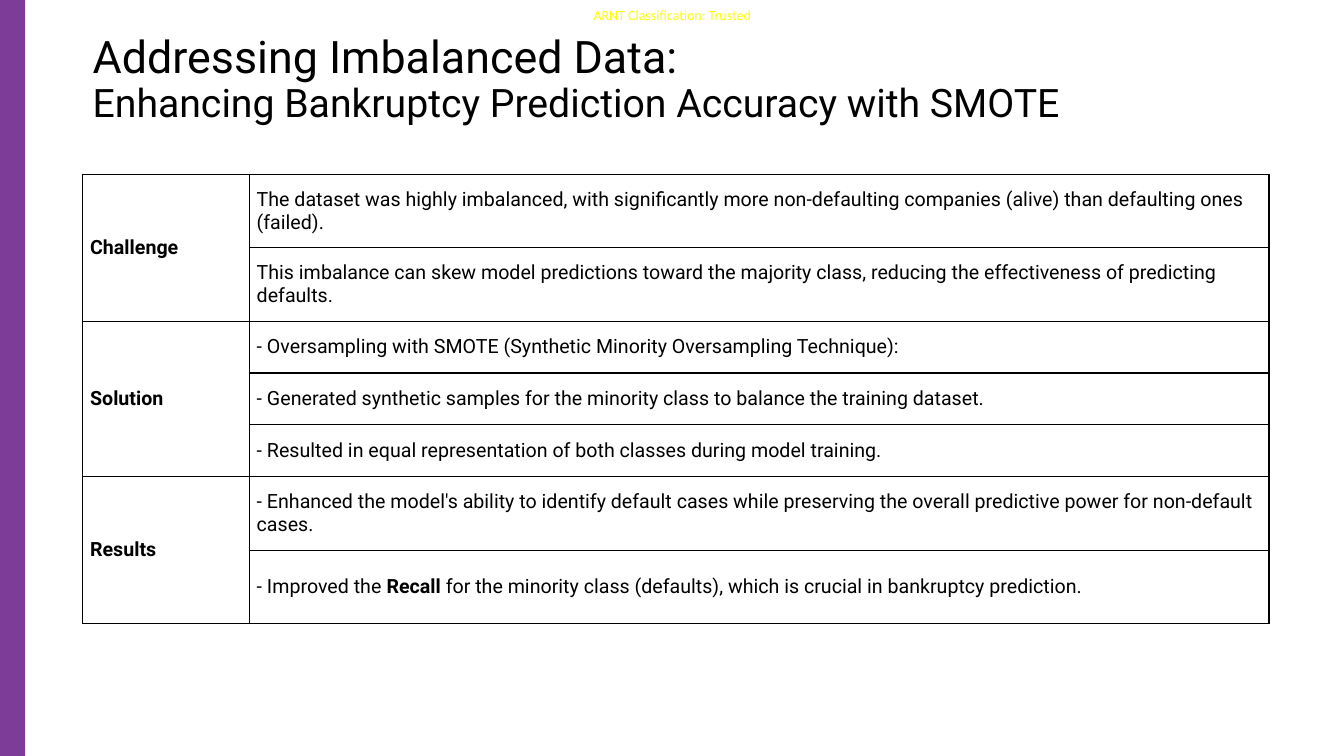
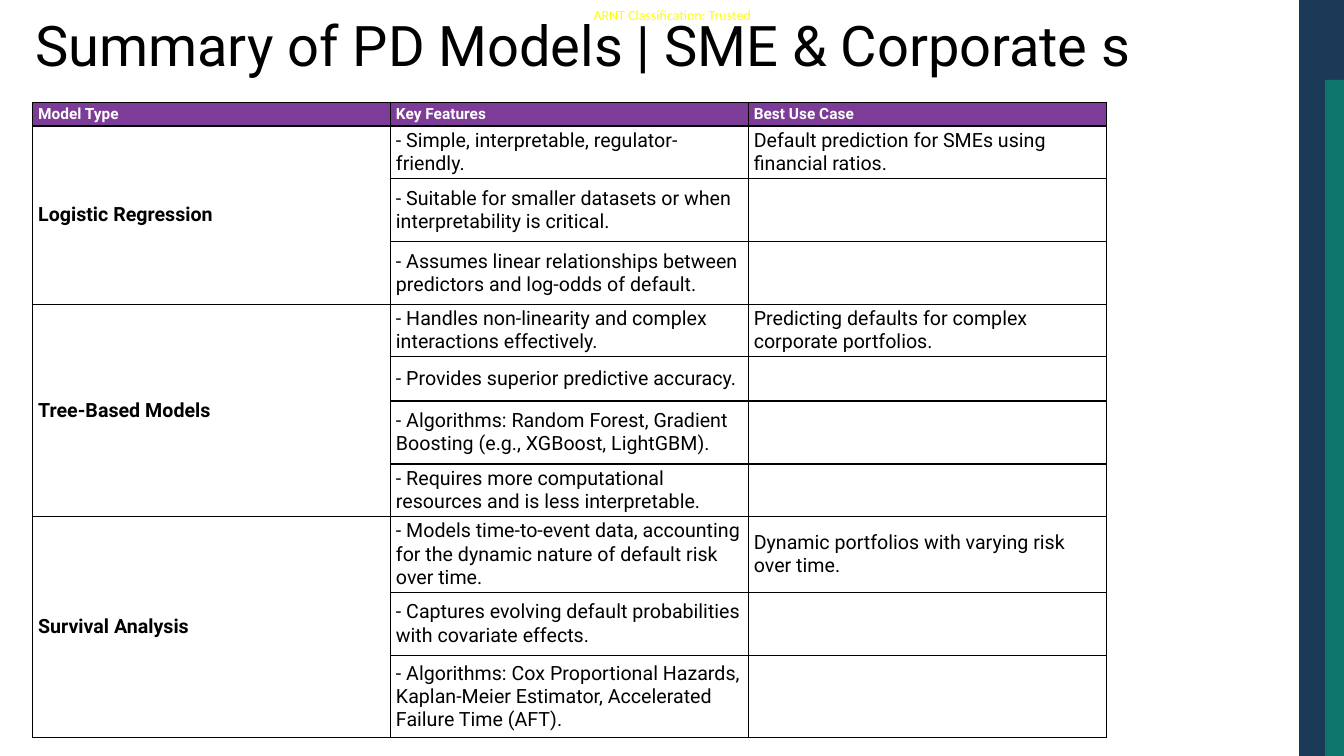
from dataclasses import dataclass

from pptx import Presentation
from pptx.dml.color import RGBColor
from pptx.enum.shapes import MSO_SHAPE as Shape
from pptx.enum.text import MSO_ANCHOR as Anchor, MSO_AUTO_SIZE as AutoSize, PP_ALIGN as Align
from pptx.oxml import parse_xml
from pptx.oxml.ns import nsdecls
from pptx.util import Pt


@dataclass(frozen=True)
class Theme:
    font: str = "Roboto"
    label_font: str = "Calibri"
    black: str = "000000"
    white: str = "FFFFFF"
    yellow: str = "FFFF00"
    purple: str = "7D3C98"
    navy: str = "1B3A57"
    teal: str = "0F766E"
    title: int = 40
    heading: int = 32
    subheading: int = 28
    body: int = 14
    header: int = 11
    label: int = 10


theme = Theme()


def add_span(para, text, size=theme.body, color=theme.black, font=theme.font, bold=False):
    span = para.add_run()
    span.text = text
    span.font.size = Pt(size)
    span.font.name = font
    span.font.bold = bold
    span.font.color.rgb = RGBColor.from_string(color)


def add_grid(page, rows, left, top, widths, heights, inset, header=False):
    """Add a table; an empty first cell joins the one above, ** toggles bold."""
    grid = page.shapes.add_table(len(rows), len(widths), Pt(left), Pt(top),
                                 Pt(sum(widths)), Pt(sum(heights))).table
    grid.first_row = grid.horz_banding = False
    for column, width in zip(grid.columns, widths):
        column.width = Pt(width)
    for line, height in zip(grid.rows, heights):
        line.height = Pt(height)

    for i, row in enumerate(rows):
        is_header = header and i == 0
        for j, text in enumerate(row):
            cell = grid.cell(i, j)
            cell.vertical_anchor = Anchor.MIDDLE
            cell.margin_left = cell.margin_right = Pt(inset[0])
            cell.margin_top = cell.margin_bottom = Pt(inset[1])

            # Borders come before the fill in the cell properties
            for side in ("lnL", "lnR", "lnT", "lnB"):
                cell._tc.get_or_add_tcPr().append(parse_xml(
                    f'<a:{side} {nsdecls("a")} w="{Pt(1)}"><a:solidFill>'
                    f'<a:srgbClr val="{theme.black}"/></a:solidFill></a:{side}>'))
            if is_header:
                cell.fill.solid()
                cell.fill.fore_color.rgb = RGBColor.from_string(theme.purple)
            else:
                cell.fill.background()

            para = cell.text_frame.paragraphs[0]
            para.font.size = Pt(theme.body)
            for k, piece in enumerate(text.split("**") if text else []):
                add_span(para, piece, bold=is_header or j == 0 or k % 2 == 1,
                         size=theme.header if is_header else theme.body,
                         color=theme.white if is_header else theme.black)

    # Join each first-column label with the empty cells below it
    starts = [i for i, row in enumerate(rows) if row[0]] + [len(rows)]
    for start, end in zip(starts, starts[1:]):
        if end - start > 1:
            grid.cell(start, 0).merge(grid.cell(end - 1, 0))


deck = Presentation()
deck.slide_width, deck.slide_height = Pt(960), Pt(540)

# Parts shared by the slides: label, title and side bands
slides = [
    dict(title=[("Addressing Imbalanced Data: ", theme.heading),
                ("Enhancing Bankruptcy Prediction Accuracy with SMOTE", theme.subheading)],
         title_at=(59, 21, 815, 73),
         bands=[(0, 0, 18, 540, theme.purple)]),
    dict(title=[("Summary of PD Models | SME & Corporate s", theme.title)],
         title_at=(18, 3.5, 828, 62),
         bands=[(928, 0, 32, 540, theme.navy), (946.5, 57, 13.5, 483, theme.teal)]),
]
pages = []
for content in slides:
    page = deck.slides.add_slide(deck.slide_layouts[5])
    pages.append(page)

    title = page.shapes.title
    title.left, title.top, title.width, title.height = map(Pt, content["title_at"])
    title.text_frame.auto_size = AutoSize.NONE
    title.text_frame.vertical_anchor = Anchor.MIDDLE
    para = title.text_frame.paragraphs[0]
    para.alignment = Align.LEFT
    para.line_spacing = 0.9
    for i, (text, size) in enumerate(content["title"]):
        if i:
            para.add_line_break()
        add_span(para, text, size=size)

    box = page.shapes.add_textbox(Pt(424), Pt(5), Pt(114.5), Pt(12))
    frame = box.text_frame
    frame.margin_left = frame.margin_right = frame.margin_top = frame.margin_bottom = 0
    add_span(frame.paragraphs[0], "ARNT Classification: Trusted", size=theme.label,
             color=theme.yellow, font=theme.label_font)

    for left, top, width, height, color in content["bands"]:
        band = page.shapes.add_shape(Shape.RECTANGLE, Pt(left), Pt(top), Pt(width), Pt(height))
        band.shadow.inherit = False
        band.fill.solid()
        band.fill.fore_color.rgb = RGBColor.from_string(color)
        band.line.fill.background()

smote_page, models_page = pages

# Slide 1: challenge, solution and results
smote_rows = [
    ("Challenge", "The dataset was highly imbalanced, with significantly more non-defaulting "
                  "companies (alive) than defaulting ones (failed)."),
    ("", "This imbalance can skew model predictions toward the majority class, reducing the "
         "effectiveness of predicting defaults."),
    ("Solution", "- Oversampling with SMOTE (Synthetic Minority Oversampling Technique):"),
    ("", "- Generated synthetic samples for the minority class to balance the training dataset."),
    ("", "- Resulted in equal representation of both classes during model training."),
    ("Results", "- Enhanced the model's ability to identify default cases while preserving the "
                "overall predictive power for non-default cases."),
    ("", "- Improved the **Recall** for the minority class (defaults), which is crucial in "
         "bankruptcy prediction."),
]
add_grid(smote_page, smote_rows, left=59, top=124.5, widths=[119, 728.5],
         heights=[52.5, 52.5, 37, 37, 37, 52.5, 52.5], inset=(5.4, 2.7))

# Slide 2: comparison of the models
model_rows = [
    ("Model Type", "Key Features", "Best Use Case"),
    ("Logistic Regression", "- Simple, interpretable, regulator-friendly.",
     "Default prediction for SMEs using financial ratios."),
    ("", "- Suitable for smaller datasets or when interpretability is critical.", ""),
    ("", "- Assumes linear relationships between predictors and log-odds of default.", ""),
    ("Tree-Based Models", "- Handles non-linearity and complex interactions effectively.",
     "Predicting defaults for complex corporate portfolios."),
    ("", "- Provides superior predictive accuracy.", ""),
    ("", "- Algorithms: Random Forest, Gradient Boosting (e.g., XGBoost, LightGBM).", ""),
    ("", "- Requires more computational resources and is less interpretable.", ""),
    ("Survival Analysis", "- Models time-to-event data, accounting for the dynamic nature of "
     "default risk over time.", "Dynamic portfolios with varying risk over time."),
    ("", "- Captures evolving default probabilities with covariate effects.", ""),
    ("", "- Algorithms: Cox Proportional Hazards, Kaplan-Meier Estimator, Accelerated Failure "
         "Time (AFT).", ""),
]
add_grid(models_page, model_rows, left=23.5, top=73, widths=[255.6] * 3,
         heights=[17, 37, 45, 45, 37, 31.5, 45, 37, 53, 45, 59],
         inset=(3.75, 1.9), header=True)

deck.save("out.pptx")
